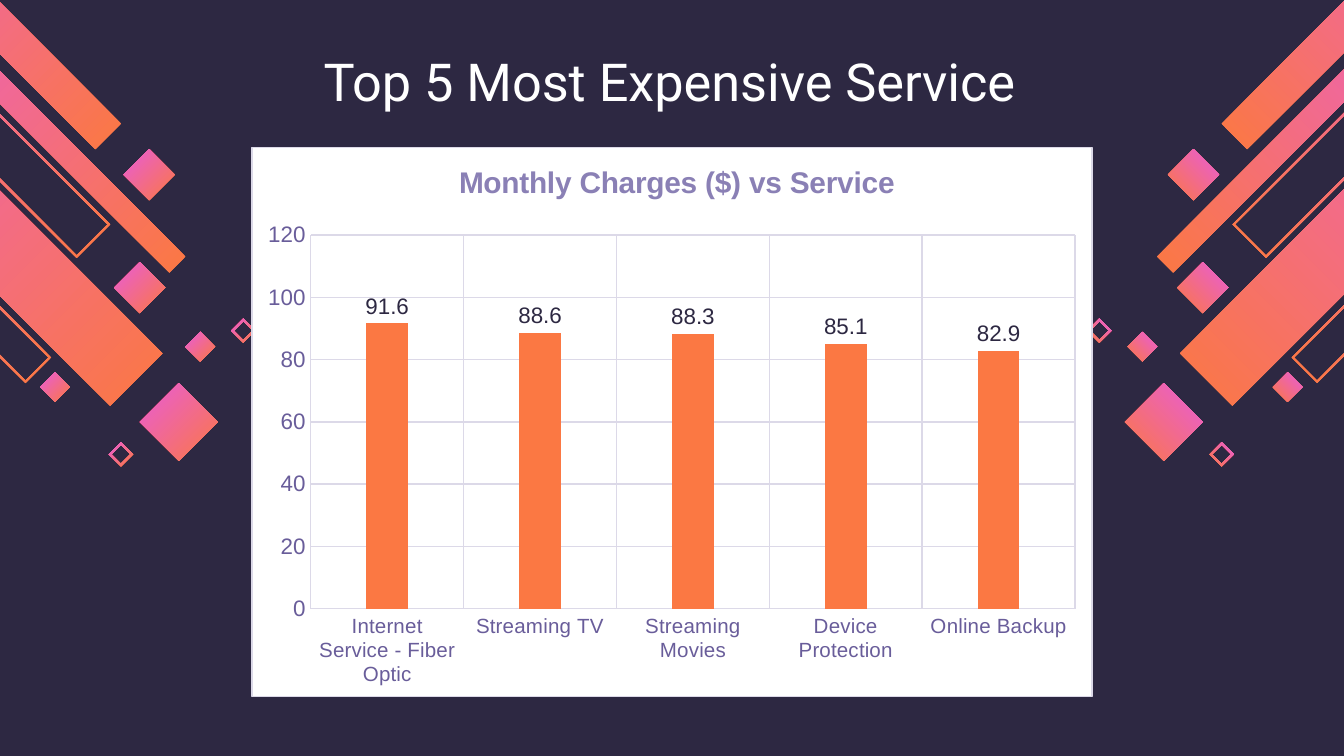
from dataclasses import dataclass

from lxml.etree import fromstring
from pptx import Presentation
from pptx.chart.data import CategoryChartData
from pptx.dml.color import RGBColor
from pptx.enum.chart import XL_CHART_TYPE, XL_LABEL_POSITION, XL_TICK_MARK
from pptx.enum.text import MSO_ANCHOR, PP_ALIGN
from pptx.oxml.ns import nsdecls, qn
from pptx.util import Inches, Pt


@dataclass(frozen=True)
class Theme:
    back: str = "2D2842"
    white: str = "FFFFFF"
    orange: str = "FB7843"
    pink: str = "E85CDB"
    axis: str = "695D9A"
    head: str = "8A80B5"
    grid: str = "DCD9E8"
    title: int = 28
    name: int = 16
    value: int = 12
    label: int = 11
    hair: float = 0.75


theme = Theme()


def style(font, face, size, color):
    font.name, font.size = face, Pt(size)
    font.color.rgb = RGBColor.from_string(color)


def ring(x, y, wide, long, right):
    """Corners of a bar tilted by 45 degrees, from its outer tip."""
    spots = [(x, y), (x + wide, y + wide),
             (x + wide + long, y + wide - long), (x + long, y - long)]
    return [(Inches(a if right else 9.99 - a), Inches(b)) for a, b in spots]


# Wide 16:9 slide
deck = Presentation()
deck.slide_width = Inches(10)
deck.slide_height = Inches(10) * 9 // 16
slide = deck.slides.add_slide(deck.slide_layouts[5])
slide.background.fill.solid()
slide.background.fill.fore_color.rgb = RGBColor.from_string(theme.back)

# Tilted bars and diamonds: tip x, tip y, short side, long side, hollow
bars = [
    (8.78, 2.63, 0.39, 2.62, False),
    (9.17, 1.67, 0.25, 1.95, True),
    (9.09, 0.92, 0.19, 2.08, False),
    (8.61, 1.91, 0.12, 2.35, False),
    (9.61, 2.66, 0.19, 2.23, True),
]
gems = [
    (9.47, 2.88, 0.11, False),
    (8.69, 1.3, 0.19, False),
    (9, 3.38, 0.09, True),
    (8.09, 2.46, 0.09, True),
    (8.37, 3.14, 0.29, False),
    (8.76, 2.14, 0.19, False),
    (8.39, 2.58, 0.11, False),
]
bars += [(x, y, side, side, hollow) for x, y, side, hollow in gems]
edge = 0.02
for right in (True, False):
    for x, y, wide, long, hollow in bars:
        outer = ring(x, y, wide, long, right)
        pen = slide.shapes.build_freeform(*outer[0])
        pen.add_line_segments(outer[1:])
        if hollow:
            inner = ring(x + edge, y, wide - edge, long - edge, right)
            pen.move_to(*inner[0])
            pen.add_line_segments(inner[:0:-1])
        shape = pen.convert_to_shape()
        shape.shadow.inherit = False
        shape.line.fill.background()
        shape.fill.gradient()
        shape.fill.gradient_angle = 45 if right else 135
        for stop, color in zip(shape.fill.gradient_stops, (theme.orange, theme.pink)):
            stop.color.rgb = RGBColor.from_string(color)

# Title
title = slide.shapes.title
title.left, title.top = Inches(0.66), Inches(0.11)
title.width, title.height = Inches(8.64), Inches(0.82)
frame = title.text_frame
frame.word_wrap = True
frame.vertical_anchor = MSO_ANCHOR.BOTTOM
frame.margin_left = frame.margin_right = Inches(0.1)
frame.margin_top = frame.margin_bottom = Inches(0.1)
line = frame.paragraphs[0]
line.alignment = PP_ALIGN.CENTER
run = line.add_run()
run.text = "Top 5 Most Expensive Service"
style(run.font, "Roboto", theme.title, theme.white)

# Chart
data = CategoryChartData()
data.categories = ["Internet Service - Fiber Optic", "Streaming TV",
                   "Streaming Movies", "Device Protection", "Online Backup"]
data.add_series("Series 1", [91.6, 88.6, 88.3, 85.1, 82.9])
chart = slide.shapes.add_chart(
    XL_CHART_TYPE.COLUMN_CLUSTERED, Inches(1.87), Inches(1.09),
    Inches(6.26), Inches(4.1), data).chart
chart.has_legend = False
style(chart.font, "Arial", 10, theme.back)

chart.has_title = True
run = chart.chart_title.text_frame.paragraphs[0].add_run()
run.text = "Monthly Charges ($) vs Service"
run.font.bold = True
style(run.font, "Arial", theme.name, theme.head)

# Columns and their labels
plot = chart.plots[0]
plot.gap_width, plot.overlap = 267, -43
plot.vary_by_categories = False
fill = plot.series[0].format.fill
fill.solid()
fill.fore_color.rgb = RGBColor.from_string(theme.orange)
plot.has_data_labels = True
labels = plot.data_labels
labels.show_value = True
labels.position = XL_LABEL_POSITION.OUTSIDE_END
style(labels.font, "Arial", theme.value, theme.back)

# Axes and grid
sides = [(chart.category_axis, theme.label), (chart.value_axis, theme.value)]
for axis, size in sides:
    axis.major_tick_mark = axis.minor_tick_mark = XL_TICK_MARK.NONE
    axis.has_major_gridlines = True
    style(axis.tick_labels.font, "Arial", size, theme.axis)
    for form in (axis.format, axis.major_gridlines.format):
        form.line.color.rgb = RGBColor.from_string(theme.grid)
        form.line.width = Pt(theme.hair)
scale = chart.value_axis
scale.format.line.fill.background()
scale.minimum_scale, scale.maximum_scale, scale.major_unit = 0, 120, 20

# White chart panel with a thin border
root = chart.element
root.find(qn("c:chart")).addnext(fromstring(
    f'<c:spPr {nsdecls("c", "a")}>'
    f'<a:solidFill><a:srgbClr val="{theme.white}"/></a:solidFill>'
    f'<a:ln w="{Pt(theme.hair)}"><a:solidFill><a:srgbClr val="{theme.grid}"/>'
    '</a:solidFill></a:ln></c:spPr>'))

# Fixed places for the chart title and the plot, as shares of the panel
spots = [
    ("c:title", {"x": 0.24, "y": 0.02}),
    ("c:plotArea", {"x": 0.07, "y": 0.16, "w": 0.91, "h": 0.68}),
]
for tag, share in spots:
    part = root.find(".//" + qn(tag))
    old = part.find(qn("c:layout"))
    if old is not None:
        part.remove(old)
    inner = '<c:layoutTarget val="inner"/>' if "w" in share else ""
    modes = "".join(f'<c:{key}Mode val="edge"/>' for key in "xy")
    sizes = "".join(f'<c:{key} val="{val}"/>' for key, val in share.items())
    place = fromstring(
        f'<c:layout {nsdecls("c")}><c:manualLayout>{inner}{modes}{sizes}'
        '</c:manualLayout></c:layout>')
    part.insert(1 if tag == "c:title" else 0, place)

deck.save("out.pptx")
